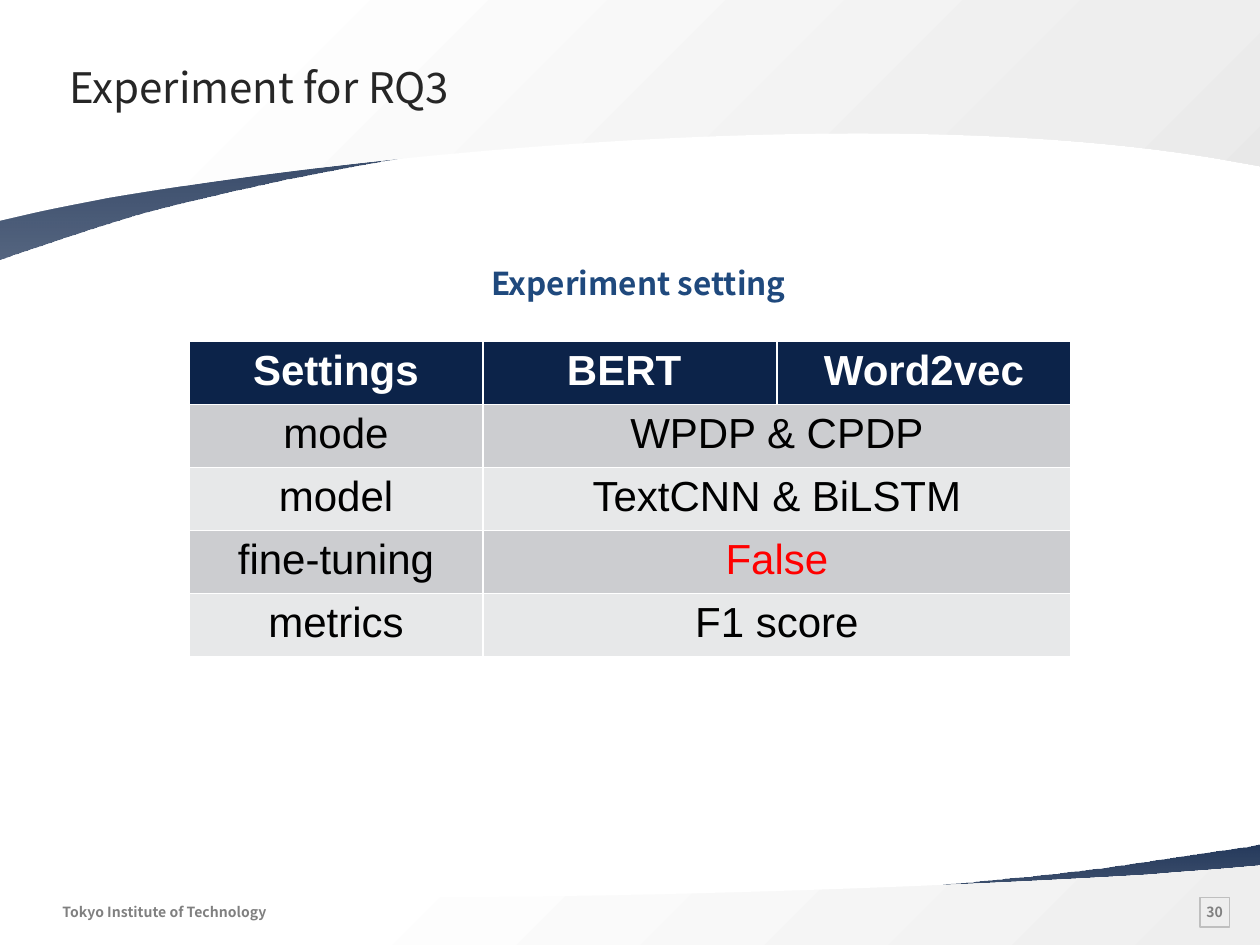
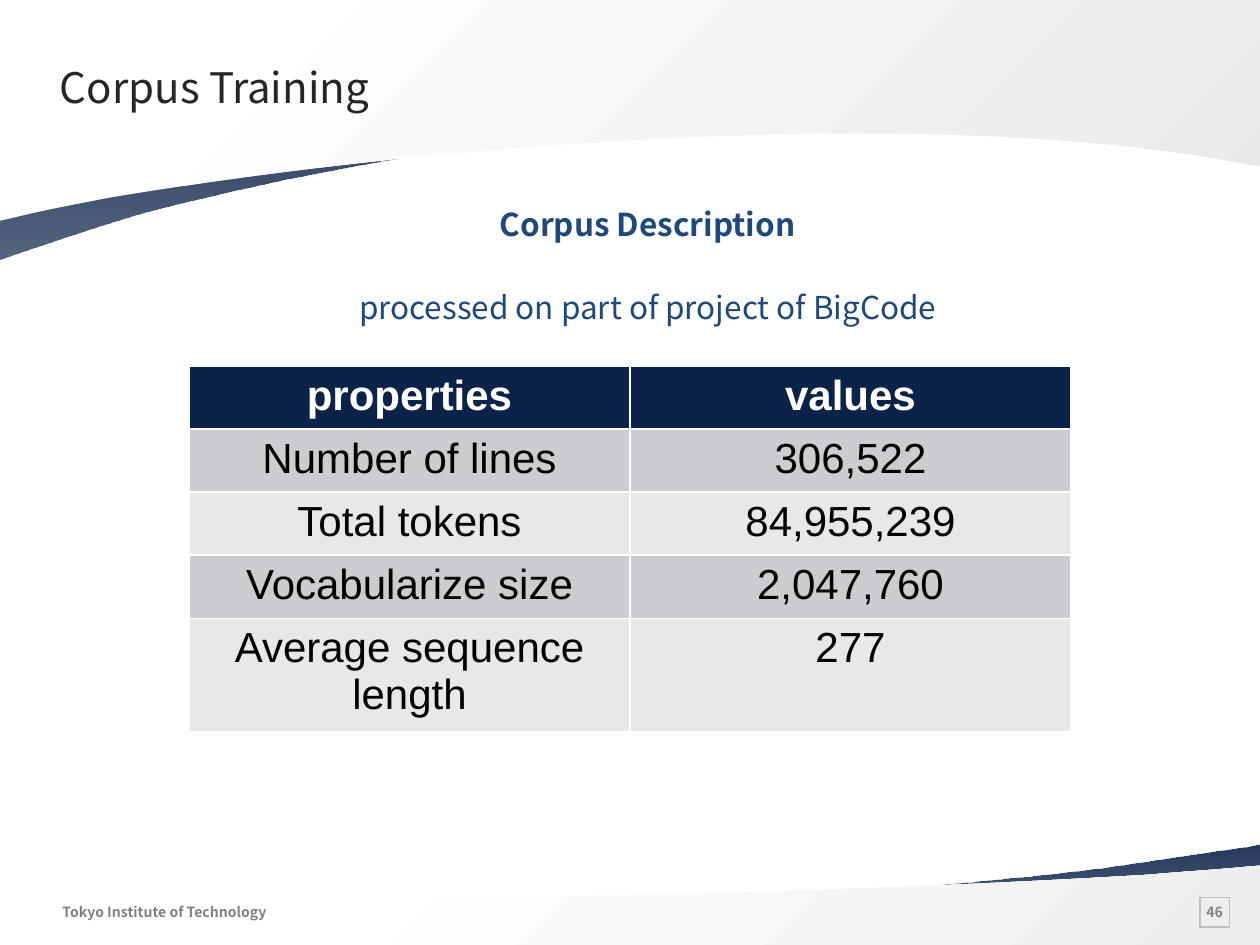
import pptx
import pptx.util
import pptx.dml.color
import pptx.enum.shapes
import pptx.enum.text
import pptx.oxml
import pptx.oxml.ns

Cm = pptx.util.Cm
Pt = pptx.util.Pt
ALIGN = pptx.enum.text.PP_ALIGN
ANCHOR = pptx.enum.text.MSO_ANCHOR

SANS, ARIAL = "Noto Sans CJK SC", "Arial"
NAVY, BLUE, INK, GREY, RULE = "0C2349", "1F497D", "262626", "808080", "BFBFBF"
WHITE, BLACK, RED = "FFFFFF", "000000", "FF0000"
STRIPES = ["CCCDD0", "E7E8E9"]
WIDE, HIGH = 25.4, 19.05

# Gradient stops: position in percent, colour, opacity in percent
NAVY_FADE = [(0, NAVY, 90), (100, NAVY, 70)]
TOP_FADE = [(17, WHITE, 100), (81, "EEEEEE", 100), (100, "E8E8E8", 100)]
FOOT_FADE = [(26, WHITE, 100), (100, "EEEEEE", 100)]

# Each band: top, gradient, angle, straight corners, then Bezier curves
BANDS = [
    (17.02, NAVY_FADE, 90,
     [(WIDE, 0), (WIDE, 1.65), (0, 1.65), (0, 0.96), (0.03, 0.96)],
     [[(5.74, 1.8), (15.62, 1.19), (21.31, 0.58)],
      [(22.45, 0.46), (23.75, 0.25), (25.12, 0.05)]]),
    (17.45, FOOT_FADE, 45,
     [(WIDE, 0), (WIDE, 1.6), (0, 1.6), (0, 0.41), (0.84, 0.46)],
     [[(7.47, 0.86), (17.35, 0.53), (23.22, 0.18)],
      [(23.72, 0.13), (24.28, 0.1), (24.84, 0.05)]]),
    (1.68, NAVY_FADE, 90,
     [(0, 3.55), (0, 0), (WIDE, 0), (WIDE, 1.47), (25.37, 1.44)],
     [[(19.66, -0.33), (9.78, 0.94), (4.09, 2.31)],
      [(2.95, 2.56), (1.65, 2.97), (0.28, 3.45)]]),
    (0, TOP_FADE, 45,
     [(0, 4.45), (0, 0), (WIDE, 0), (WIDE, 3.35), (24.56, 3.2)],
     [[(17.93, 2.08), (8.05, 3), (2.18, 3.99)],
      [(1.68, 4.09), (1.12, 4.19), (0.56, 4.32)]]),
]


def paint(value):
    return pptx.dml.color.RGBColor.from_string(value)


def swap(old, tag, body):
    """Put a new DrawingML element in the place of an old one."""
    space = pptx.oxml.ns.nsdecls("a")
    new = pptx.oxml.parse_xml(f"<a:{tag} {space}>{body}</a:{tag}>")
    old.getparent().replace(old, new)


def fade(shape, stops, angle):
    """Fill a shape with a gradient whose stops may be translucent."""
    marks = "".join(
        f'<a:gs pos="{pos * 1000}"><a:srgbClr val="{tone}">'
        f'<a:alpha val="{solid * 1000}"/></a:srgbClr></a:gs>'
        for pos, tone, solid in stops)
    shape.fill.background()
    blank = shape._element.spPr.find(pptx.oxml.ns.qn("a:noFill"))
    swap(blank, "gradFill", f"<a:gsLst>{marks}</a:gsLst>"
         f'<a:lin ang="{angle * 60000}" scaled="0"/>')


def bend(shape, curves):
    """Turn the last straight segments into Bezier curves."""
    lines = list(shape._element.iter(pptx.oxml.ns.qn("a:lnTo")))
    for line, curve in zip(lines[-len(curves):], curves):
        swap(line, "cubicBezTo", "".join(
            f'<a:pt x="{Cm(x)}" y="{Cm(y)}"/>' for x, y in curve))


def band(slide, top, stops, angle, corners, curves):
    knots = corners + [curve[-1] for curve in curves]
    dots = [(Cm(x), Cm(y)) for x, y in knots]
    pen = slide.shapes.build_freeform(*dots[0])
    pen.add_line_segments(dots[1:], close=True)
    shape = pen.convert_to_shape(0, Cm(top))
    shape.shadow.inherit = False
    shape.line.fill.background()
    bend(shape, curves)
    fade(shape, stops, angle)


def write(frame, text, size, color, bold=False, font=SANS, align=ALIGN.LEFT):
    para = frame.paragraphs[0]
    para.alignment = align
    run = para.add_run()
    run.text = text
    run.font.name = font
    run.font.size = Pt(size)
    run.font.bold = bold
    run.font.color.rgb = paint(color)


def inset(frame, left, top, right, bottom):
    frame.margin_left, frame.margin_top = Cm(left), Cm(top)
    frame.margin_right, frame.margin_bottom = Cm(right), Cm(bottom)


def label(slide, box, text, size, color, bold=False, align=ALIGN.LEFT):
    frame = slide.shapes.add_textbox(*map(Cm, box)).text_frame
    frame.word_wrap = True
    write(frame, text, size, color, bold, align=align)
    return frame


def footer(slide, box, number):
    left, top, width, height = box
    owner = label(slide, (left, top, 4.47, height),
                  "Tokyo Institute of Technology", 8, GREY, True)
    owner.word_wrap = False
    inset(owner, 0, 0.13, 0.25, 0.13)
    side = 0.6
    tile = slide.shapes.add_shape(
        pptx.enum.shapes.MSO_SHAPE.RECTANGLE,
        Cm(left + width - side), Cm(top), Cm(side), Cm(side))
    tile.shadow.inherit = False
    tile.fill.background()
    tile.line.color.rgb = paint(RULE)
    tile.line.width = Pt(0.75)
    frame = tile.text_frame
    frame.word_wrap = False
    frame.vertical_anchor = ANCHOR.MIDDLE
    inset(frame, 0.2, 0.2, 0.2, 0.2)
    write(frame, str(number), 8, GREY, True, align=ALIGN.CENTER)


def page(deck, title, number):
    """Add a slide with the shared bands, footer and title."""
    slide = deck.slides.add_slide(deck.slide_layouts[6])
    for wave in BANDS:
        band(slide, *wave)
    footer(slide, (1.26, 18.09, 23.53, 0.58), number)
    head = label(slide, (1.01, 1.02, 22.86, 1.47), title, 24, INK)
    head.vertical_anchor = ANCHOR.MIDDLE
    inset(head, 0.2, 0.2, 0, 0.2)
    return slide


def grid(slide, box, rows, marks=()):
    """Draw a table; a short row has its last cell spread to the right."""
    wide = len(rows[0])
    table = slide.shapes.add_table(len(rows), wide, *map(Cm, box)).table
    for r, row in enumerate(rows):
        for c in range(wide):
            cell = table.cell(r, c)
            cell.fill.solid()
            cell.fill.fore_color.rgb = paint(STRIPES[(r - 1) % 2] if r else NAVY)
        if len(row) < wide:
            table.cell(r, len(row) - 1).merge(table.cell(r, wide - 1))
        for c, text in enumerate(row):
            color = RED if text in marks else BLACK if r else WHITE
            write(table.cell(r, c).text_frame, text, 24, color, r == 0,
                  ARIAL, ALIGN.CENTER)


def setup(deck):
    slide = page(deck, " Experiment for RQ3", 30)
    grid(slide, (3.81, 6.88, 17.78, 5.3), [
        ["Settings", "BERT ", "Word2vec"],
        ["mode", "WPDP & CPDP"],
        ["model", "TextCNN & BiLSTM"],
        ["fine-tuning", "False"],
        ["metrics", "F1 score"],
    ], marks=["False"])
    label(slide, (9.65, 5.2, 10.16, 1.22), "Experiment setting", 18, BLUE, True)


def corpus(deck):
    slide = page(deck, "Corpus Training", 46)
    label(slide, (6.43, 4, 13.4, 1.04), "Corpus Description ", 18, BLUE,
          True, ALIGN.CENTER)
    label(slide, (6.17, 5.69, 13.92, 1.04),
          "processed on part of project of BigCode ", 18, BLUE,
          align=ALIGN.CENTER)
    grid(slide, (3.81, 7.38, 17.78, 5.3), [
        ["properties", "values"],
        ["Number of lines", "306,522"],
        ["Total tokens", "84,955,239"],
        ["Vocabularize size", "2,047,760"],
        ["Average sequence length", "277"],
    ])


def main():
    deck = pptx.Presentation()
    deck.slide_width, deck.slide_height = Cm(WIDE), Cm(HIGH)
    setup(deck)
    corpus(deck)
    deck.save("out.pptx")


if __name__ == "__main__":
    main()
